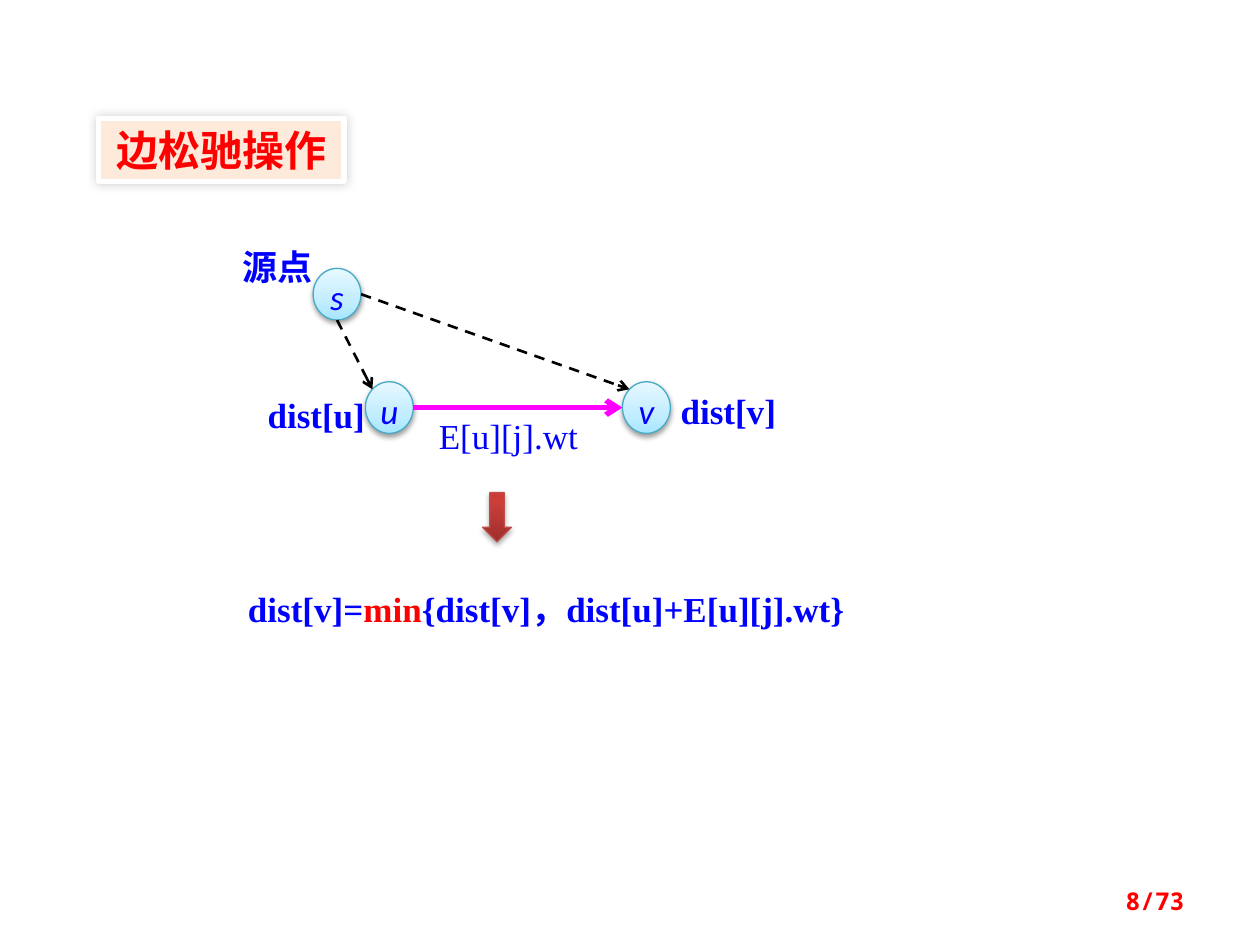
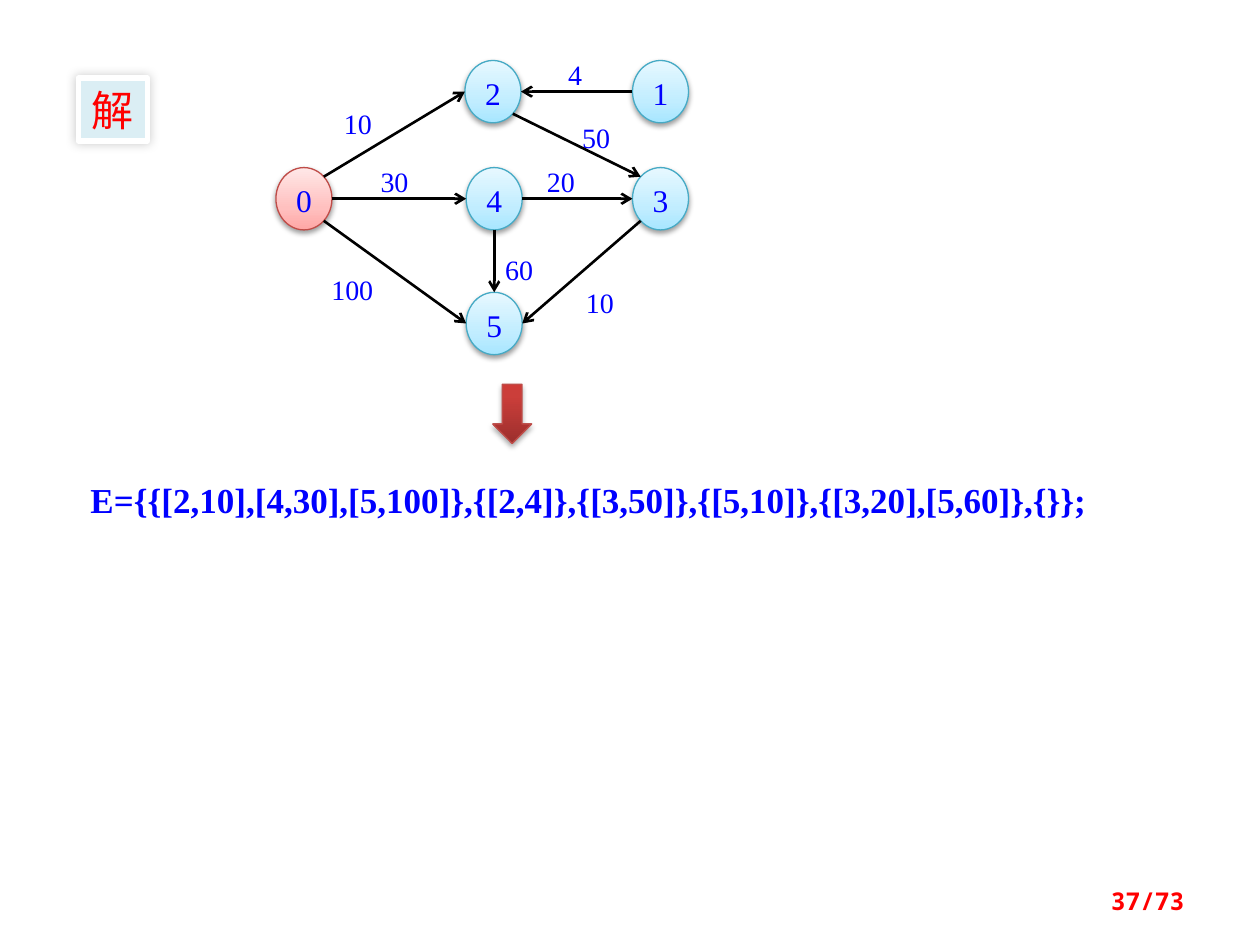
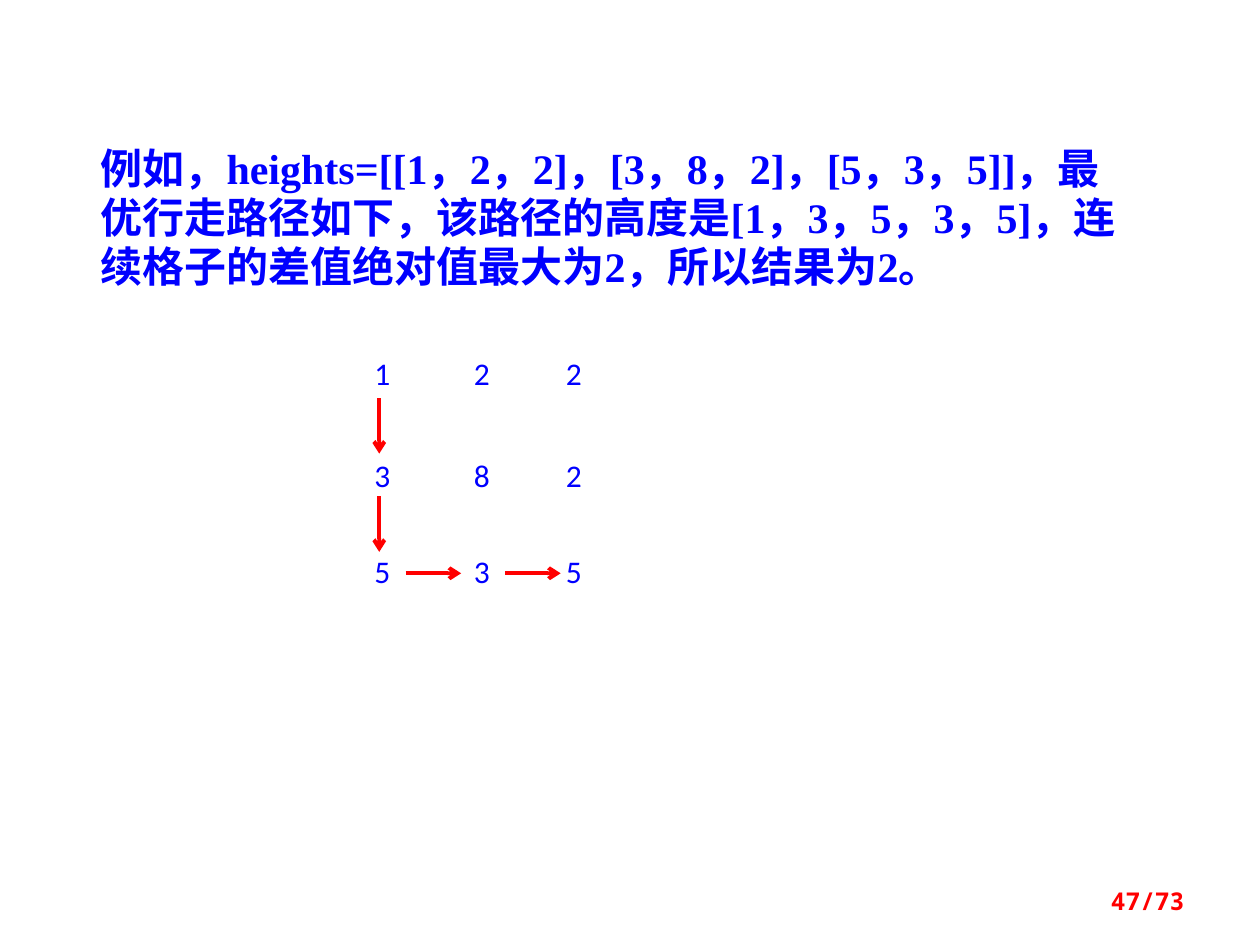
"""Build three slides on edge relaxation, adjacency lists and minimum-effort paths."""
from dataclasses import dataclass, replace
from enum import IntEnum
from math import cos, radians, sin
from typing import Optional

from lxml.etree import SubElement
from pptx import Presentation
from pptx.dml.color import RGBColor
from pptx.enum.dml import MSO_LINE
from pptx.enum.shapes import MSO_CONNECTOR, MSO_SHAPE
from pptx.enum.text import MSO_ANCHOR, PP_ALIGN
from pptx.oxml.ns import qn
from pptx.shapes.autoshape import Shape
from pptx.slide import Slide
from pptx.util import Emu, Inches, Pt

WIDTH, HEIGHT = Inches(10), Inches(7.5)
COLUMNS, ROWS = 100, 75
BLANK_LAYOUT = 6
PAGE_COUNT = 73


@dataclass(frozen=True)
class TextStyle:
    """Type settings of a run."""
    size: float
    font: str = "Times New Roman"
    color: str = "0000FF"
    bold: bool = False
    italic: bool = False


@dataclass(frozen=True)
class Shadow:
    """Outer shadow with lengths in points and opacity in percent."""
    opacity: int
    blur: float
    distance: float
    angle: int = 90


@dataclass(frozen=True)
class Shading:
    """Vertical gradient from bottom to top, with its outline and shadow."""
    stops: tuple[tuple[int, str], ...]
    outline: str
    shadow: Shadow


@dataclass(frozen=True)
class Stroke:
    """Colour, width and dash of an arrow."""
    color: str
    width: float
    dashed: bool = False


@dataclass(frozen=True)
class Theme:
    """Colours and type sizes of the presentation."""
    paper: str = "FFFFFF"
    east_asian: str = "Noto Sans CJK SC"
    formula: TextStyle = TextStyle(20, bold=True)
    function: TextStyle = TextStyle(20, color="FF0000", bold=True)
    edge_name: TextStyle = TextStyle(20)
    vertex_name: TextStyle = TextStyle(20, "Calibri", italic=True)
    vertex_number: TextStyle = TextStyle(18)
    weight: TextStyle = TextStyle(16)
    height: TextStyle = TextStyle(18, "Calibri")
    prose: TextStyle = TextStyle(24, bold=True)
    title: TextStyle = TextStyle(24, "Noto Sans CJK SC", "FF0000")
    page: TextStyle = TextStyle(14, "Noto Sans Mono", "FF0000", bold=True)
    blue: Shading = Shading(((0, "A7E6FF"), (35, "C1EDFF"), (100, "E7F8FF")), "46AAC5", Shadow(38, 3.1, 1.6))
    red: Shading = Shading(((0, "FFA6A5"), (35, "FFC0BF"), (100, "FFE7E7")), "BF4C48", Shadow(38, 3.1, 1.6))
    step: Shading = Shading(((0, "9C2F2D"), (80, "CB3E3A"), (100, "CE3B37")), "BF4C48", Shadow(35, 3.1, 1.8))
    title_shadow: Shadow = Shadow(20, 6, 0)
    peach: str = "FDEADA"
    aqua: str = "DBEEF4"
    edge: Stroke = Stroke("000000", 1.5)
    path_so_far: Stroke = Stroke("000000", 1.5, dashed=True)
    relaxed_edge: Stroke = Stroke("FF00FF", 3)
    walk: Stroke = Stroke("FF0000", 2.25)


THEME = Theme()


@dataclass(frozen=True)
class Area:
    """Rectangle in grid columns and rows."""
    left: float
    top: float
    width: float
    height: float


@dataclass(frozen=True)
class Span:
    """A stretch of text in one style."""
    text: str
    style: TextStyle


@dataclass(frozen=True)
class Label:
    """Plain caption on paper colour."""
    area: Area
    span: Span
    align: PP_ALIGN = PP_ALIGN.CENTER
    leading: Optional[float] = None


@dataclass(frozen=True)
class Vertex:
    """Round vertex of a graph."""
    area: Area
    span: Span
    shading: Shading = THEME.blue
    leading: Optional[float] = None


class Side(IntEnum):
    """Clockwise angle of a point on a vertex outline."""
    RIGHT = 0
    LOWER_RIGHT = 45
    BOTTOM = 90
    LOWER_LEFT = 135
    LEFT = 180
    UPPER_LEFT = 225
    TOP = 270
    UPPER_RIGHT = 315


@dataclass(frozen=True)
class Edge:
    """Directed edge between two vertices."""
    source: str
    exit: Side
    target: str
    entry: Side
    stroke: Stroke = THEME.edge


def across(columns: float) -> Emu:
    """Convert grid columns to a length."""
    return Emu(round(WIDTH * columns / COLUMNS))


def down(rows: float) -> Emu:
    """Convert grid rows to a length."""
    return Emu(round(HEIGHT * rows / ROWS))


def place(area: Area) -> tuple[Emu, Emu, Emu, Emu]:
    """Convert an area to left, top, width and height."""
    return across(area.left), down(area.top), across(area.width), down(area.height)


def rgb(color: str) -> RGBColor:
    """Convert a hex colour."""
    return RGBColor.from_string(color)


def write(shape: Shape, spans: list[Span], align: PP_ALIGN = PP_ALIGN.LEFT,
          anchor: MSO_ANCHOR = MSO_ANCHOR.TOP, leading: Optional[float] = None,
          inset: bool = True) -> None:
    """Write one paragraph run by run."""
    frame = shape.text_frame
    frame.word_wrap = True
    frame.vertical_anchor = anchor
    if not inset:
        frame.margin_left = frame.margin_right = frame.margin_top = frame.margin_bottom = 0
    paragraph = frame.paragraphs[0]
    paragraph.alignment = align
    if leading:
        paragraph.line_spacing = Pt(leading)
    for span in spans:
        run = paragraph.add_run()
        run.text = span.text
        run.font.name = span.style.font
        run.font.size = Pt(span.style.size)
        run.font.bold = span.style.bold
        run.font.italic = span.style.italic
        run.font.color.rgb = rgb(span.style.color)
        SubElement(run._r.get_or_add_rPr(), qn("a:ea"), typeface=THEME.east_asian)


def add_color(parent, color: str):
    """Append an RGB colour element and return it."""
    return SubElement(parent, qn("a:srgbClr"), val=color)


def cast(shape: Shape, shadow: Shadow) -> None:
    """Give a shape an outer shadow."""
    effects = shape._element.spPr.find(qn("a:effectLst"))
    outer = SubElement(effects, qn("a:outerShdw"), blurRad=str(Pt(shadow.blur)),
                       dist=str(Pt(shadow.distance)), dir=str(shadow.angle * 60000),
                       rotWithShape="0")
    SubElement(add_color(outer, "000000"), qn("a:alpha"), val=str(shadow.opacity * 1000))


def add_flat(slide: Slide, kind: MSO_SHAPE, area: Area, fill: str) -> Shape:
    """Add a plain filled shape without outline."""
    shape = slide.shapes.add_shape(kind, *place(area))
    shape.shadow.inherit = False
    shape.fill.solid()
    shape.fill.fore_color.rgb = rgb(fill)
    shape.line.fill.background()
    return shape


def add_shaded(slide: Slide, kind: MSO_SHAPE, area: Area, shading: Shading) -> Shape:
    """Add a shape with gradient, outline and shadow."""
    shape = add_flat(slide, kind, area, THEME.paper)
    shape.fill.gradient()
    shape.fill.gradient_angle = 90
    stops = shape._element.spPr.find(qn("a:gradFill")).find(qn("a:gsLst"))
    for stop in list(stops):
        stops.remove(stop)
    for share, color in shading.stops:
        add_color(SubElement(stops, qn("a:gs"), pos=str(share * 1000)), color)
    shape.line.color.rgb = rgb(shading.outline)
    shape.line.width = Pt(0.75)
    cast(shape, shading.shadow)
    return shape


def add_title(slide: Slide, area: Area, text: str, fill: str, bold: bool, light: int) -> None:
    """Add a framed title plate."""
    plate = add_flat(slide, MSO_SHAPE.RECTANGLE, area, fill)
    plate.line.color.rgb = rgb(THEME.paper)
    plate.line.width = Pt(3)
    cast(plate, replace(THEME.title_shadow, angle=light))
    write(plate, [Span(text, replace(THEME.title, bold=bold))], PP_ALIGN.CENTER, MSO_ANCHOR.MIDDLE)


def add_label(slide: Slide, label: Label) -> None:
    """Add a caption."""
    shape = add_flat(slide, MSO_SHAPE.RECTANGLE, label.area, THEME.paper)
    write(shape, [label.span], label.align, leading=label.leading, inset=False)


def add_vertex(slide: Slide, vertex: Vertex) -> None:
    """Add a vertex with its name."""
    shape = add_shaded(slide, MSO_SHAPE.OVAL, vertex.area, vertex.shading)
    write(shape, [vertex.span], PP_ALIGN.CENTER, leading=vertex.leading, inset=False)


def add_arrow(slide: Slide, start: tuple[float, float], end: tuple[float, float],
              stroke: Stroke) -> None:
    """Add an arrow between two grid points."""
    arrow = slide.shapes.add_connector(MSO_CONNECTOR.STRAIGHT, across(start[0]), down(start[1]),
                                       across(end[0]), down(end[1]))
    arrow.line.color.rgb = rgb(stroke.color)
    arrow.line.width = Pt(stroke.width)
    if stroke.dashed:
        arrow.line.dash_style = MSO_LINE.DASH
    SubElement(arrow.line._get_or_add_ln(), qn("a:tailEnd"), type="arrow")
    SubElement(arrow._element.spPr, qn("a:effectLst"))


def rim(area: Area, side: Side) -> tuple[float, float]:
    """Find a point on the outline of a vertex."""
    angle = radians(side)
    return (area.left + area.width / 2 * (1 + cos(angle)),
            area.top + area.height / 2 * (1 + sin(angle)))


def add_graph(slide: Slide, vertices: dict[str, Vertex], edges: list[Edge]) -> None:
    """Add vertices and the edges joining them."""
    for vertex in vertices.values():
        add_vertex(slide, vertex)
    for edge in edges:
        add_arrow(slide, rim(vertices[edge.source].area, edge.exit),
                  rim(vertices[edge.target].area, edge.entry), edge.stroke)


def add_text(slide: Slide, area: Area, spans: list[Span], leading: Optional[float] = None) -> None:
    """Add a left-aligned text box."""
    write(slide.shapes.add_textbox(*place(area)), spans, leading=leading)


def add_page(deck, number: int) -> Slide:
    """Add a blank slide with its page number."""
    slide = deck.slides.add_slide(deck.slide_layouts[BLANK_LAYOUT])
    footer = slide.shapes.add_textbox(*place(Area(71.7, 69.5, 23.3, 4)))
    write(footer, [Span(f"{number}/{PAGE_COUNT}", THEME.page)], PP_ALIGN.RIGHT, MSO_ANCHOR.MIDDLE)
    return slide


def build_relaxation(deck) -> None:
    """Build the slide on relaxing an edge."""
    slide = add_page(deck, 8)
    for label in (
        Label(Area(34.4, 32.9, 11.9, 3), Span("E[u][j].wt", THEME.edge_name)),
        Label(Area(53.9, 30.9, 7.8, 3), Span("dist[v]", THEME.formula)),
        Label(Area(19.1, 19.5, 5.9, 3), Span("源点", THEME.formula)),
        Label(Area(21.2, 31.2, 7.8, 3), Span("dist[u]", THEME.formula)),
    ):
        add_label(slide, label)
    corners = {"u": (29, 30.3), "v": (49.4, 30.3), "s": (24.85, 21.3)}
    vertices = {name: Vertex(Area(*corner, 3.8, 4.1), Span(name, THEME.vertex_name))
                for name, corner in corners.items()}
    add_graph(slide, vertices, [
        Edge("u", Side.RIGHT, "v", Side.LEFT, THEME.relaxed_edge),
        Edge("s", Side.BOTTOM, "u", Side.UPPER_LEFT, THEME.path_so_far),
        Edge("s", Side.RIGHT, "v", Side.UPPER_LEFT, THEME.path_so_far),
    ])
    add_title(slide, Area(7.8, 9.4, 19.5, 5), "边松驰操作", THEME.peach, True, 315)
    add_shaded(slide, MSO_SHAPE.DOWN_ARROW, Area(38.3, 39.1, 2.3, 3.9), THEME.step)
    add_text(slide, Area(18.7, 46.1, 54.7, 4.4), [
        Span("dist[v]=", THEME.formula),
        Span("min", THEME.function),
        Span("{dist[v]，dist[u]+E[u][j].wt}", THEME.formula),
    ])


def build_adjacency(deck) -> None:
    """Build the slide turning a weighted graph into adjacency lists."""
    slide = add_page(deck, 37)
    add_title(slide, Area(6.2, 6.2, 5.5, 5), "解", THEME.aqua, False, 225)
    leading = 24
    weights = (("4", 45.1, 3.9), ("10", 46.5, 22), ("50", 46.2, 8.9), ("20", 43.4, 12.4),
               ("10", 27.3, 7.8), ("30", 30.2, 12.4), ("100", 26.3, 21), ("60", 40.1, 19.4))
    for weight, left, top in weights:
        width = 5.3 if len(weight) > 2 else 2.9
        add_label(slide, Label(Area(left, top, width, 3.4), Span(weight, THEME.weight),
                               PP_ALIGN.LEFT, leading))
    corners = {"0": (21.9, 13.3), "2": (36.9, 4.8), "4": (37, 13.3),
               "5": (37, 23.2), "3": (50.2, 13.3), "1": (50.2, 4.8)}
    vertices = {name: Vertex(Area(*corner, 4.45, 4.95), Span(name, THEME.vertex_number),
                             THEME.red if name == "0" else THEME.blue, leading)
                for name, corner in corners.items()}
    add_graph(slide, vertices, [
        Edge("0", Side.UPPER_RIGHT, "2", Side.LEFT),
        Edge("0", Side.LOWER_RIGHT, "5", Side.LEFT),
        Edge("0", Side.RIGHT, "4", Side.LEFT),
        Edge("4", Side.BOTTOM, "5", Side.TOP),
        Edge("3", Side.LOWER_LEFT, "5", Side.RIGHT),
        Edge("4", Side.RIGHT, "3", Side.LEFT),
        Edge("2", Side.LOWER_RIGHT, "3", Side.UPPER_LEFT),
        Edge("1", Side.LEFT, "2", Side.RIGHT),
    ])
    adjacency = "E={{[2,10],[4,30],[5,100]},{[2,4]},{[3,50]},{[5,10]},{[3,20],[5,60]},{}};"
    add_text(slide, Area(6.2, 37.5, 84.4, 4.4), [Span(adjacency, THEME.formula)])
    add_shaded(slide, MSO_SHAPE.DOWN_ARROW, Area(39.1, 30.5, 3.1, 4.7), THEME.step)


def build_heights(deck) -> None:
    """Build the slide walking through a grid of heights."""
    slide = add_page(deck, 47)
    example = ("例如，heights=[[1，2，2]，[3，8，2]，[5，3，5]]，最优行走路径如下，"
               "该路径的高度是[1，3，5，3，5]，连续格子的差值绝对值最大为2，所以结果为2。")
    add_text(slide, Area(7, 10.9, 84.4, 12.8), [Span(example, THEME.prose)], leading=28)
    lefts, tops = (28.2, 36.1, 43.4), (28.1, 36.2, 43.8)
    for top, heights in zip(tops, ("122", "382", "535")):
        for left, height in zip(lefts, heights):
            add_label(slide, Label(Area(left, top, 4.3, 4.4), Span(height, THEME.height)))
    stride = 4.4
    for top in (31.6, 39.4):
        add_arrow(slide, (30.1, top), (30.1, top + stride), THEME.walk)
    for left in (32.2, 40.1):
        add_arrow(slide, (left, 45.5), (left + stride, 45.5), THEME.walk)


def main() -> None:
    """Build and save the presentation."""
    deck = Presentation()
    deck.slide_width, deck.slide_height = WIDTH, HEIGHT
    build_relaxation(deck)
    build_adjacency(deck)
    build_heights(deck)
    deck.save("out.pptx")


if __name__ == "__main__":
    main()
